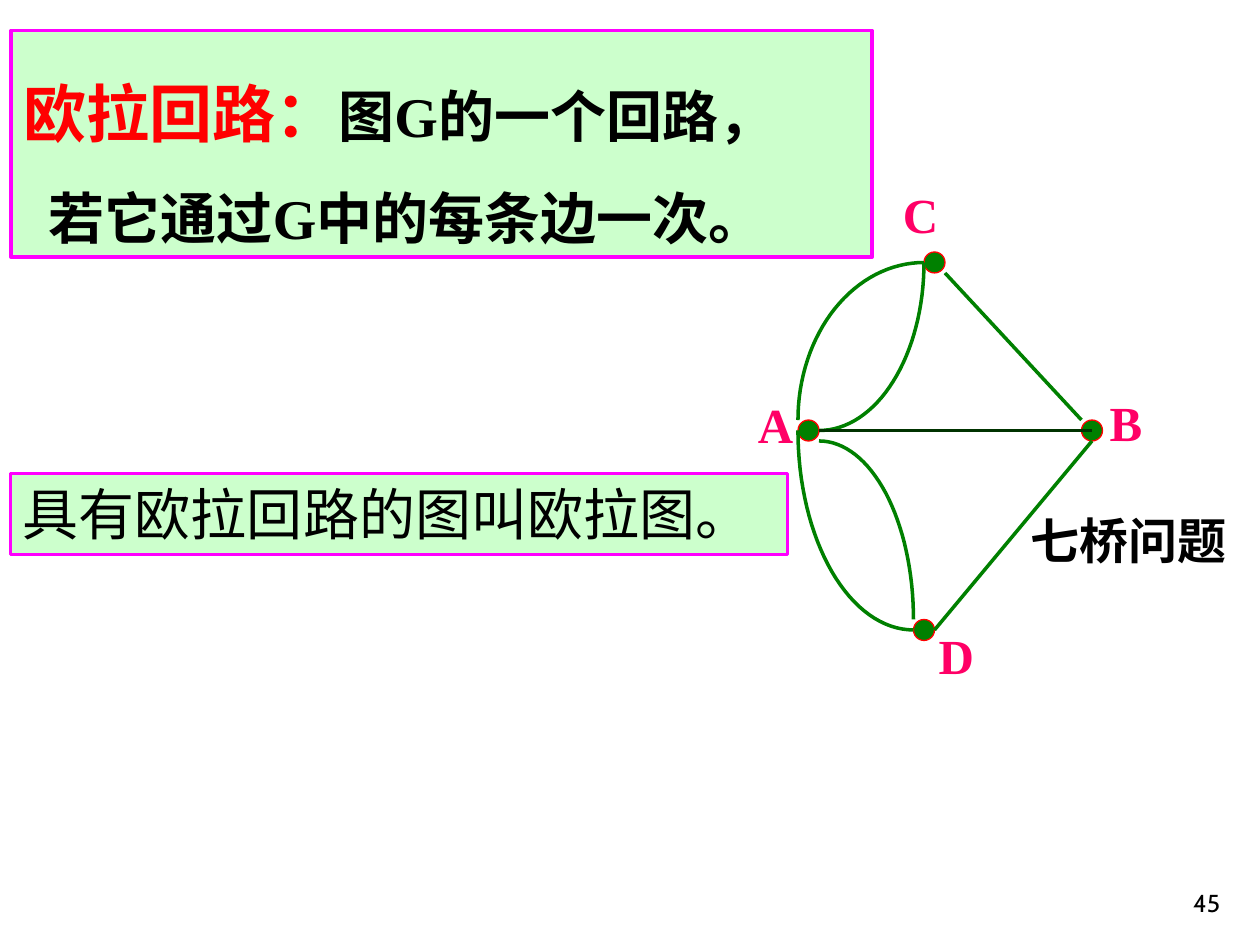
from math import cos, pi, sin

from lxml import etree
from pptx import Presentation
from pptx.dml.color import RGBColor
from pptx.enum.shapes import MSO_CONNECTOR, MSO_SHAPE
from pptx.enum.text import MSO_ANCHOR, MSO_AUTO_SIZE, PP_ALIGN
from pptx.oxml.ns import qn
from pptx.util import Inches, Pt

STRAIGHT = MSO_CONNECTOR.STRAIGHT
OVAL, RECTANGLE = MSO_SHAPE.OVAL, MSO_SHAPE.RECTANGLE
TOP, BOTTOM = MSO_ANCHOR.TOP, MSO_ANCHOR.BOTTOM
GROW, FIXED = MSO_AUTO_SIZE.SHAPE_TO_FIT_TEXT, MSO_AUTO_SIZE.NONE
LEFT, RIGHT = PP_ALIGN.LEFT, PP_ALIGN.RIGHT

# The slide is a grid of 120 columns by 90 rows
COLUMNS, ROWS = 120, 90
SERIF, SANS, CHINESE = "Times New Roman", "Cabin", "Noto Sans CJK SC"
BLACK, RED, PINK, MAGENTA = "000000", "FF0000", "FF0066", "FF00FF"
GREEN, DARK_GREEN, PALE_GREEN = "008000", "003300", "CCFFCC"


def colour(value):
    return RGBColor.from_string(value)


class SlideBuilder:
    """Draws styled elements on one slide, in grid units."""

    line_width = 2
    arc_steps = 32

    def __init__(self, deck):
        self.slide = deck.slides.add_slide(deck.slide_layouts[6])
        self.shapes = self.slide.shapes
        self.column = deck.slide_width / COLUMNS
        self.row = deck.slide_height / ROWS

    def place(self, x, y):
        return round(x * self.column), round(y * self.row)

    def outline(self, item, value, width=line_width):
        item.line.color.rgb = colour(value)
        item.line.width = Pt(width)

    def node(self, x, y):
        dot = self.shapes.add_shape(OVAL, *self.place(x - 1, y - 1), *self.place(2, 2))
        dot.shadow.inherit = False
        dot.fill.solid()
        dot.fill.fore_color.rgb = colour(GREEN)
        self.outline(dot, RED, 0.75)

    def edge(self, start, end, value=GREEN):
        line = self.shapes.add_connector(STRAIGHT, *self.place(*start), *self.place(*end))
        self.outline(line, value)
        etree.SubElement(line._element.spPr, qn("a:effectLst"))

    def arc(self, start, end):
        """A quarter ellipse that leaves its start horizontally."""
        (x0, y0), (x1, y1) = start, end
        angles = [pi / 2 * step / self.arc_steps for step in range(1, self.arc_steps + 1)]
        points = [self.place(x0 + (x1 - x0) * sin(angle), y1 + (y0 - y1) * cos(angle))
                  for angle in angles]
        builder = self.shapes.build_freeform(*self.place(*start))
        builder.add_line_segments(points, close=False)
        curve = builder.convert_to_shape()
        curve.shadow.inherit = False
        curve.fill.background()
        self.outline(curve, GREEN)

    def span(self, para, text, size, font, value=BLACK, bold=False):
        run = para.add_run()
        run.text = text
        run.font.size, run.font.name, run.font.bold = Pt(size), font, bold
        run.font.color.rgb = colour(value)
        east_asian = etree.SubElement(run._r.get_or_add_rPr(), qn("a:ea"))
        east_asian.set("typeface", CHINESE)

    def fill_text(self, box, paragraphs, spacing=None, align=LEFT, anchor=TOP,
                  wrap=True, size_rule=GROW, indents=(0,)):
        frame = box.text_frame
        frame.word_wrap, frame.auto_size = wrap, size_rule
        frame.vertical_anchor = anchor
        for index, spans in enumerate(paragraphs):
            para = frame.add_paragraph() if index else frame.paragraphs[0]
            para.alignment = align
            if spacing:
                para.line_spacing = spacing
            if indents[index]:
                para._p.get_or_add_pPr().set("indent", str(Inches(indents[index])))
            for span in spans:
                self.span(para, *span)

    def text(self, x, y, width, height, *span, **layout):
        box = self.shapes.add_textbox(*self.place(x, y), *self.place(width, height))
        self.fill_text(box, [[span]], **layout)

    def panel(self, x, y, width, height, paragraphs, **layout):
        box = self.shapes.add_shape(RECTANGLE, *self.place(x, y), *self.place(width, height))
        box.shadow.inherit = False
        box.fill.solid()
        box.fill.fore_color.rgb = colour(PALE_GREEN)
        self.outline(box, MAGENTA)
        self.fill_text(box, paragraphs, **layout)


def main():
    deck = Presentation()
    deck.slide_width, deck.slide_height = Inches(10), Inches(7.5)
    page = SlideBuilder(deck)

    # Graph nodes
    for centre in [(88, 60), (104, 41), (77, 41), (89, 25)]:
        page.node(*centre)

    # Node names
    for name, x, y in [("C", 84.8, 17), ("D", 88.2, 59), ("A", 71, 37), ("B", 104.5, 36.8)]:
        page.text(x, y, 5.75, 6.85, name, 28, SERIF, PINK, True, wrap=False)

    # Graph edges: the seven bridges
    page.edge((103, 40), (90, 26))
    page.edge((89, 60), (104, 42))
    for start, end in [((88, 25), (76, 40)), ((78, 42), (87, 59)),
                       ((78, 41), (88, 25)), ((87, 60), (76, 41))]:
        page.arc(start, end)
    page.edge((78, 41), (104, 41), DARK_GREEN)
    page.text(97, 48, 23, 6.85, "七桥问题", 28, SANS, BLACK, True)

    # Definitions
    page.panel(1.05, 2.9, 82, 21.6, [
        [("欧拉回路：", 36, CHINESE, RED, True),
         ("图", 32, CHINESE, BLACK, True),
         ("G", 32, SERIF, BLACK, True),
         ("的一个回路，", 32, CHINESE, BLACK, True)],
        [("若它通过", 32, CHINESE, BLACK, True),
         ("G", 32, SERIF, BLACK, True),
         ("中的每条边一次。", 32, CHINESE, BLACK, True)],
    ], spacing=1.5, indents=(0, 0.2))
    page.panel(1, 45.1, 74, 7.7, [[("具有欧拉回路的图叫欧拉图。", 32, CHINESE)]])

    # Page number
    page.text(92.4, 82, 25, 6, "45", 14, SANS,
              align=RIGHT, anchor=BOTTOM, size_rule=FIXED)

    deck.save("out.pptx")


if __name__ == "__main__":
    main()
